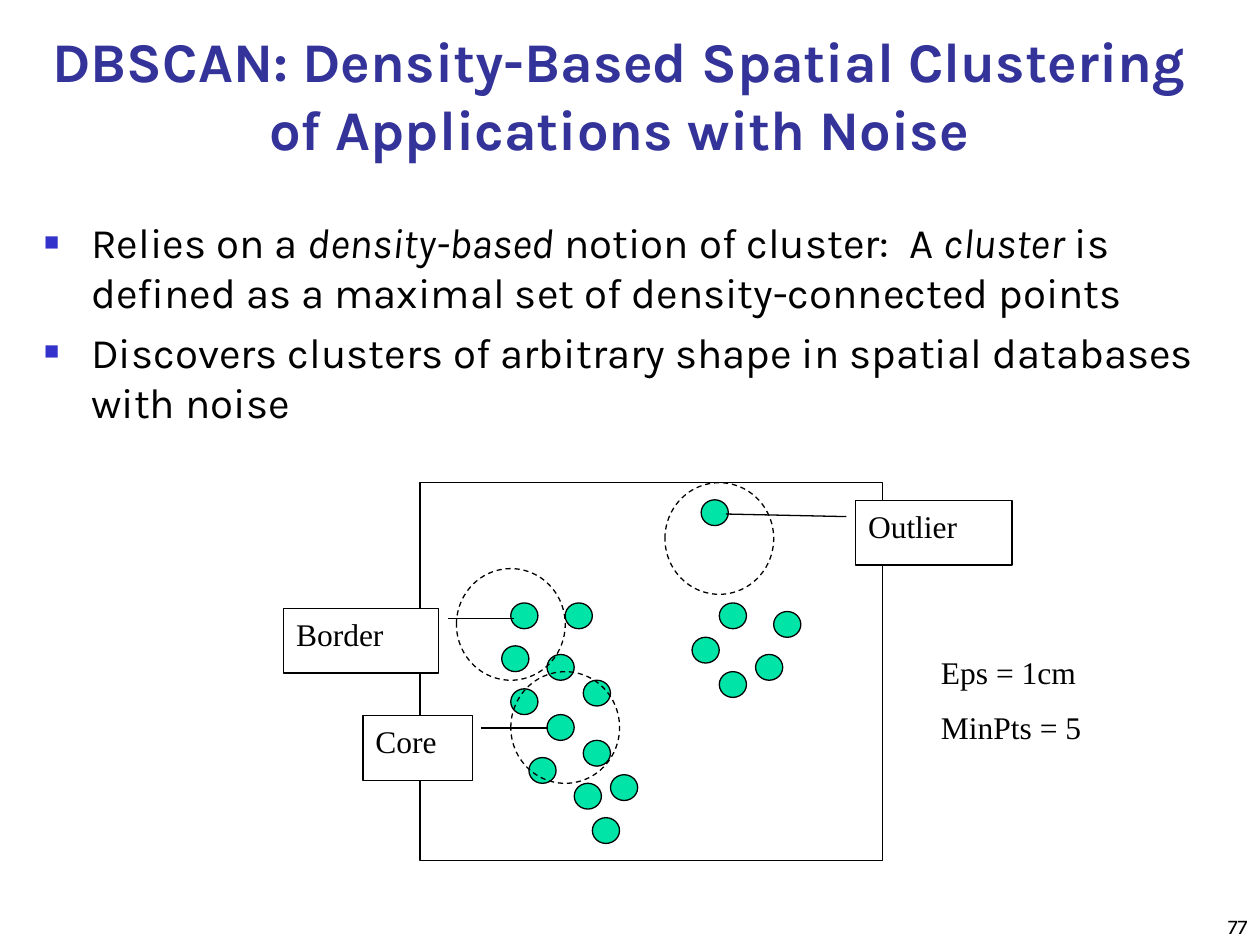
from dataclasses import dataclass

from lxml.etree import SubElement
from pptx import Presentation
from pptx.dml.color import RGBColor
from pptx.enum.dml import MSO_LINE
from pptx.enum.shapes import MSO_SHAPE
from pptx.enum.text import MSO_ANCHOR, PP_ALIGN
from pptx.oxml.ns import qn
from pptx.util import Cm, Pt


@dataclass(frozen=True)
class Theme:
    title: str = "333399"
    bullet: str = "3333CC"
    ink: str = "000000"
    paper: str = "FFFFFF"
    point: str = "00E4A8"
    heading_font: str = "Karla"
    figure_font: str = "Times New Roman"
    title_size: int = 32
    body_size: int = 24
    figure_size: int = 18
    number_size: int = 12
    line_width: float = 0.75


class SlideBuilder:
    def __init__(self, slide, theme):
        self.slide = slide
        self.theme = theme

    def fill_text(self, frame, paragraphs, font, size, color=None, bold=False,
                  align=PP_ALIGN.LEFT, anchor=MSO_ANCHOR.TOP, before=0):
        """Each paragraph is a list of (text, italic) runs."""
        frame.word_wrap = True
        frame.vertical_anchor = anchor
        for index, runs in enumerate(paragraphs):
            paragraph = frame.paragraphs[0] if index == 0 else frame.add_paragraph()
            paragraph.alignment = align
            paragraph.space_before = Pt(before)
            paragraph.font.name = font
            paragraph.font.size = Pt(size)
            paragraph.font.bold = bold
            paragraph.font.color.rgb = RGBColor.from_string(color or self.theme.ink)
            for text, italic in runs:
                run = paragraph.add_run()
                run.text = text
                if italic:
                    run.font.italic = True

    def text(self, box, paragraphs, font, size, **style):
        frame = self.slide.shapes.add_textbox(*map(Cm, box)).text_frame
        self.fill_text(frame, paragraphs, font, size, **style)
        return frame

    def bullets(self, box, paragraphs):
        frame = self.text(box, paragraphs, self.theme.heading_font,
                          self.theme.body_size, before=5)
        for paragraph in frame.paragraphs:
            properties = paragraph._p.get_or_add_pPr()
            properties.set("marL", str(Cm(0.95)))
            properties.set("indent", str(-Cm(0.95)))
            # Bullet marks go before the default run properties
            marks = [SubElement(properties, qn(tag), **values) for tag, values in (
                ("a:buClr", {}),
                ("a:buSzPct", {"val": "60000"}),
                ("a:buFont", {"typeface": "Arial"}),
                ("a:buChar", {"char": "■"}))]
            SubElement(marks[0], qn("a:srgbClr"), val=self.theme.bullet)
            run_defaults = properties.find(qn("a:defRPr"))
            if run_defaults is not None:
                properties.append(run_defaults)

    def shape(self, kind, box, fill=None, dashed=False):
        shape = self.slide.shapes.add_shape(kind, *map(Cm, box))
        shape.shadow.inherit = False
        if fill:
            shape.fill.solid()
            shape.fill.fore_color.rgb = RGBColor.from_string(fill)
        else:
            shape.fill.background()
        shape.line.color.rgb = RGBColor.from_string(self.theme.ink)
        shape.line.width = Pt(self.theme.line_width)
        if dashed:
            shape.line.dash_style = MSO_LINE.DASH
        return shape

    def callout(self, label, box, leader):
        shape = self.shape(MSO_SHAPE.LINE_CALLOUT_1, box, self.theme.paper)
        for index, value in enumerate(leader):
            shape.adjustments[index] = value
        self.fill_text(shape.text_frame, [[(label, False)]],
                       self.theme.figure_font, self.theme.figure_size)


theme = Theme()
presentation = Presentation()
presentation.slide_width, presentation.slide_height = Cm(25.4), Cm(19.05)
builder = SlideBuilder(
    presentation.slides.add_slide(presentation.slide_layouts[6]), theme)

# Title and definition
builder.text(
    (0.64, 0.64, 23.7, 2.74),
    [[("DBSCAN: Density-Based Spatial Clustering of Applications with Noise", False)]],
    theme.heading_font, theme.title_size, color=theme.title, bold=True,
    align=PP_ALIGN.CENTER, anchor=MSO_ANCHOR.BOTTOM)
builder.bullets((0.64, 4.24, 23.7, 13.97), [
    [("Relies on a ", False), ("density-based", True),
     (" notion of cluster:  A ", False), ("cluster", True),
     (" is defined as a maximal set of density-connected points", False)],
    [("Discovers clusters of arbitrary shape in spatial databases with noise", False)],
])

# The data space is a grid of cells; points and neighbourhoods sit on it
space_left, space_top, space_width, space_height = data_space = (8.47, 9.73, 9.32, 7.62)
cell_width, cell_height = space_width / 51, space_height / 44


def on_grid(column, row, columns, rows):
    return (space_left + column * cell_width, space_top + row * cell_height,
            columns * cell_width, rows * cell_height)


left_cluster = [(10, 14), (9, 19), (14, 20), (16, 14), (18, 23), (10, 24), (14, 27),
                (12, 32), (17, 35), (19, 39), (18, 30), (21, 34)]
right_cluster = [(33, 14), (30, 18), (37, 20), (39, 15), (33, 22)]
outlier = (31, 2)
for column, row in [*left_cluster, *right_cluster, outlier]:
    builder.shape(MSO_SHAPE.OVAL, on_grid(column, row, 3, 3), theme.point)

builder.shape(MSO_SHAPE.RECTANGLE, data_space)
neighbourhoods = [(4, 10), (10, 22), (27, 0)]
for column, row in neighbourhoods:
    builder.shape(MSO_SHAPE.OVAL, on_grid(column, row, 12, 13), dashed=True)

# Kinds of point: label, box, leader line as y, x, y, x fractions of the box
for label, box, leader in [
    ("Core", (7.32, 14.43, 2.2, 1.3), (0.19, 1.08, 0.19, 1.69)),
    ("Border", (5.72, 12.27, 3.12, 1.3), (0.15, 1.06, 0.15, 1.49)),
    ("Outlier", (17.25, 10.09, 3.15, 1.3), (0.25, -0.06, 0.21, -0.83)),
]:
    builder.callout(label, box, leader)

# Parameters and slide number
builder.text((18.72, 13.03, 4.57, 2.79),
             [[("Eps = 1cm", False)], [("MinPts = 5", False)]],
             theme.figure_font, theme.figure_size, before=10)
builder.text((20.12, 17.98, 5.28, 1.07), [[("77", False)]],
             theme.heading_font, theme.number_size,
             align=PP_ALIGN.RIGHT, anchor=MSO_ANCHOR.BOTTOM)

presentation.save("out.pptx")
